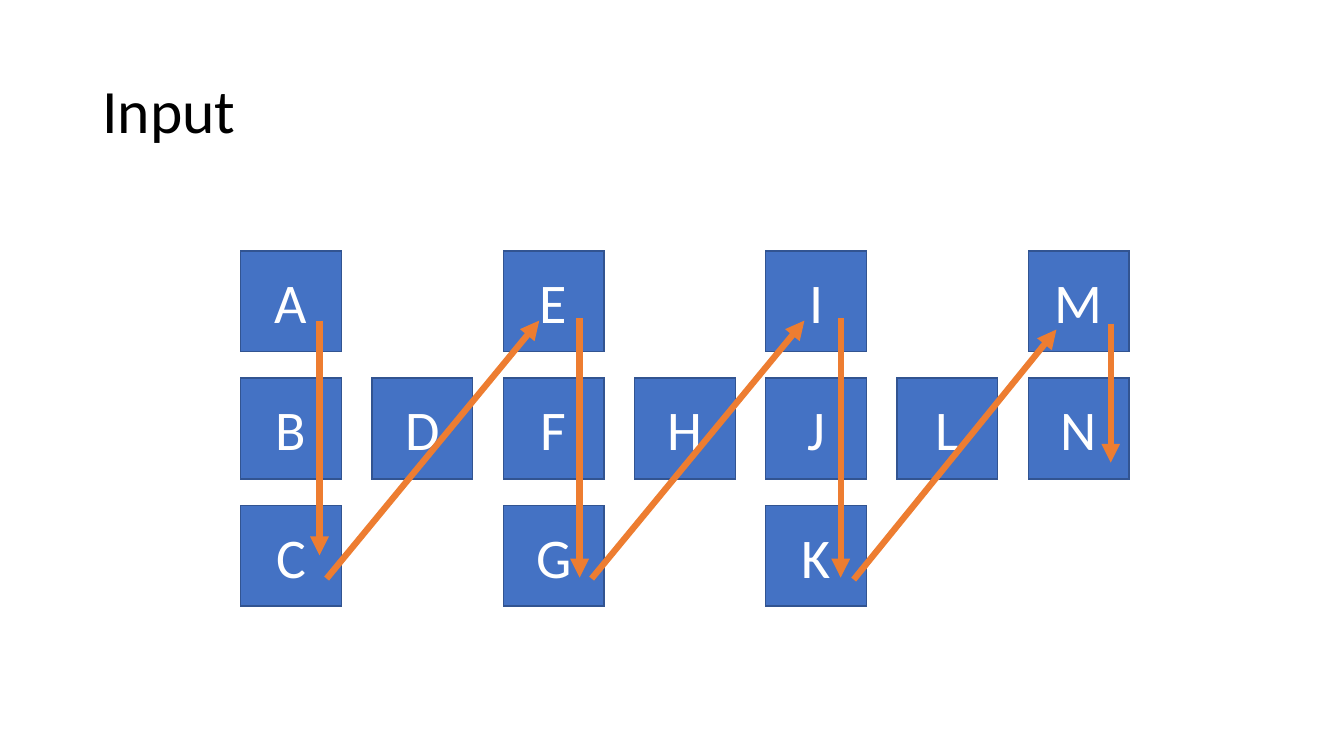
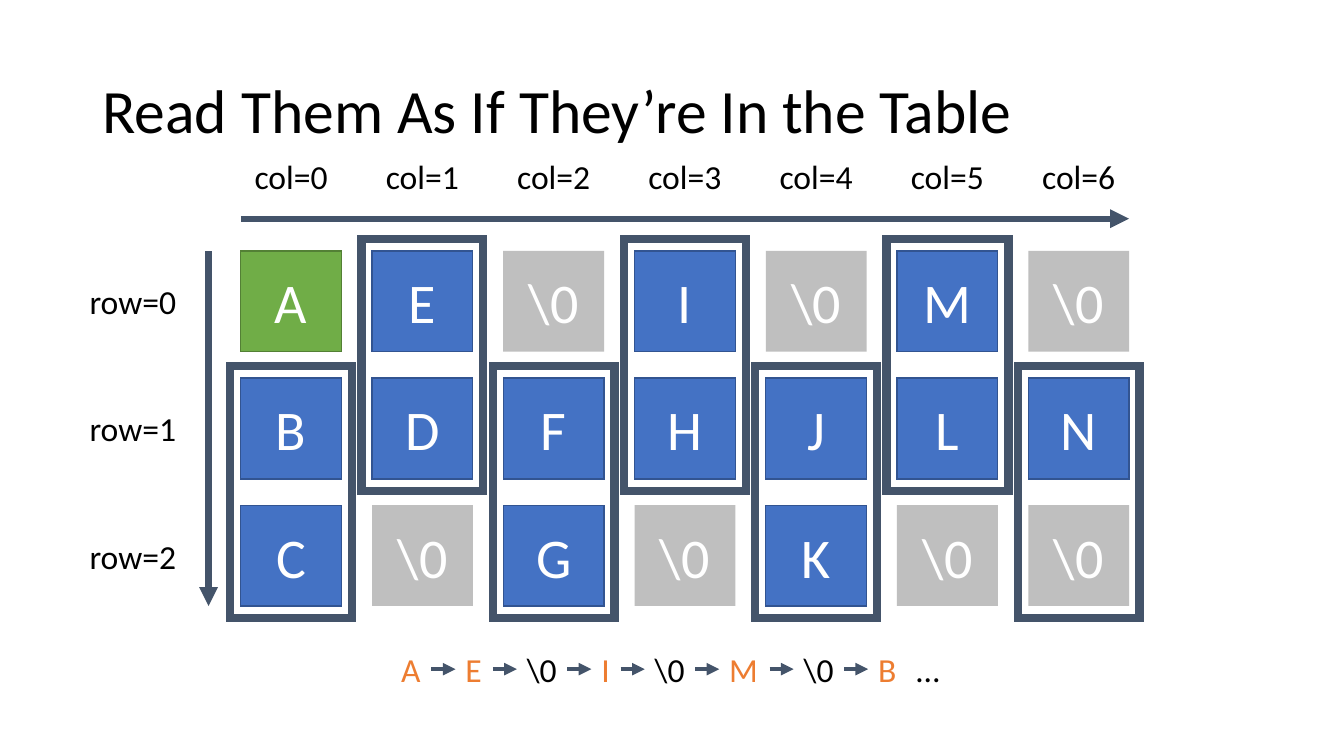
from dataclasses import dataclass

from lxml.etree import SubElement
from pptx import Presentation
from pptx.dml.color import RGBColor as Rgb
from pptx.enum.shapes import MSO_CONNECTOR as Connector, MSO_SHAPE as Preset
from pptx.enum.text import MSO_ANCHOR as Anchor, MSO_AUTO_SIZE as AutoSize, PP_ALIGN as Align
from pptx.oxml.ns import qn
from pptx.util import Pt


@dataclass(frozen=True)
class Theme:
    """Colours, typeface, type sizes and line weights shared by the slides."""
    ink: str = "000000"
    white: str = "FFFFFF"
    blue: str = "4472C4"
    blue_edge: str = "325491"
    green: str = "70AD47"
    green_edge: str = "538035"
    gray: str = "BFBFBF"
    slate: str = "44546A"
    orange: str = "ED7D31"
    face: str = "Calibri"
    title_size: int = 44
    tile_size: int = 40
    label_size: int = 24
    thin: float = 1
    medium: float = 3
    thick: float = 4.5
    heavy: float = 6


THEME = Theme()

# Grid, in points
TILE = 72
GRID_LEFT, GRID_TOP = 172, 179.3
COLUMN_PITCH, ROW_PITCH = 93.75, 90.8
FRAME_MARGIN_X, FRAME_MARGIN_Y = 7.5, 8.5
LABEL_HEIGHT = 36
ROW_LABEL_LEFT, ROW_LABEL_WIDTH = 56.9, 77
COLUMN_LABEL_TOP, COLUMN_LABEL_WIDTH = 108, 67
ROW_AXIS_X, COLUMN_AXIS_Y = 149, 156.2

# Letters; a space leaves its grid cell empty
NULL = "\\0"
ZIGZAG = ["A E I M",
          "BDFHJLN",
          "C G K  "]
TABLE = [["A", "E", NULL, "I", NULL, "M", NULL],
         ["B", "D", "F", "H", "J", "L", "N"],
         ["C", NULL, "G", NULL, "K", NULL, NULL]]
ROW_COUNT, COLUMN_COUNT = len(TABLE), len(TABLE[0])

# Start and end of each stroke, in the order the letters are visited
ZIGZAG_STROKES = [
    ((228.2, 229), (228.2, 396.7)), ((233.3, 413.3), (385.2, 229)),
    ((414, 227.5), (414, 412.6)), ((422.6, 413.3), (574.6, 229)),
    ((600.5, 227.5), (600.5, 412.6)), ((609.8, 414), (754.6, 235.4)),
    ((793.4, 231.1), (793.4, 330.5)),
]

# The first table row, then the start of the second
READ_ORDER = TABLE[0] + TABLE[1][:1]
SYMBOL_WIDTHS = {"A": 28.8, "E": 26.6, NULL: 36, "I": 20.9, "M": 36, "B": 27.4}
READ_LEFT, READ_TOP, READ_GAP = 279.4, 460, 17.2
ELLIPSIS_WIDTH = 31.7


def set_format(target, values):
    """Set each named attribute of the target."""
    for name, value in values.items():
        setattr(target, name, value)


def write(frame, words, size, color, align, frame_format):
    """Put one formatted paragraph into a text frame and return it."""
    set_format(frame, frame_format)
    paragraph = frame.paragraphs[0]
    paragraph.alignment = align
    run = paragraph.add_run()
    run.text = words
    set_format(run.font, {"name": THEME.face, "size": Pt(size), "bold": False})
    run.font.color.rgb = Rgb.from_string(color)
    return paragraph


def add_titled_slide(deck, words):
    """Add a title-only slide with the shared title style."""
    slide = deck.slides.add_slide(deck.slide_layouts[5])
    title = slide.shapes.title
    set_format(title, {"left": Pt(66), "top": Pt(28.75), "width": Pt(828), "height": Pt(104.4)})
    paragraph = write(title.text_frame, words, THEME.title_size, THEME.ink, Align.LEFT,
                      {"vertical_anchor": Anchor.MIDDLE, "word_wrap": True,
                       "auto_size": AutoSize.NONE})
    paragraph.line_spacing = 0.9
    return slide


def set_line(line, color, weight):
    """Colour and weigh a line."""
    line.color.rgb = Rgb.from_string(color)
    line.width = Pt(weight)


def add_box(slide, left, top, width, height, fill=None, edge=None, weight=THEME.thin):
    """Add a flat, sharp-cornered rectangle with an optional fill and outline."""
    box = slide.shapes.add_shape(Preset.RECTANGLE, Pt(left), Pt(top), Pt(width), Pt(height))
    box.shadow.inherit = False
    if fill:
        box.fill.solid()
        box.fill.fore_color.rgb = Rgb.from_string(fill)
    else:
        box.fill.background()
    if edge:
        set_line(box.line, edge, weight)
        SubElement(box.element.spPr.find(qn("a:ln")), qn("a:miter"), lim="800000")
    else:
        box.line.fill.background()
    return box


def add_label(slide, words, left, top, width, color=THEME.ink, align=Align.LEFT):
    """Add one line of small text."""
    label = slide.shapes.add_textbox(Pt(left), Pt(top), Pt(width), Pt(LABEL_HEIGHT))
    write(label.text_frame, words, THEME.label_size, color, align,
          {"word_wrap": False, "auto_size": AutoSize.SHAPE_TO_FIT_TEXT})


def add_arrow(slide, start, end, color, weight=THEME.thick):
    """Add a straight arrow between two points."""
    arrow = slide.shapes.add_connector(Connector.STRAIGHT, *map(Pt, (*start, *end)))
    set_line(arrow.line, color, weight)
    properties = arrow.element.spPr
    SubElement(properties.find(qn("a:ln")), qn("a:tailEnd"), type="triangle")
    SubElement(properties, qn("a:effectLst"))


def column_left(column):
    """Return the left edge of a grid column."""
    return GRID_LEFT + column * COLUMN_PITCH


def row_top(row):
    """Return the top edge of a grid row."""
    return GRID_TOP + row * ROW_PITCH


def add_tiles(slide, rows, special_colors):
    """Lay out letter tiles; special_colors maps a letter to its fill and edge."""
    for row, letters in enumerate(rows):
        for column, letter in enumerate(letters):
            if letter == " ":
                continue
            fill, edge = special_colors.get(letter, (THEME.blue, THEME.blue_edge))
            tile = add_box(slide, column_left(column), row_top(row), TILE, TILE, fill, edge)
            write(tile.text_frame, letter, THEME.tile_size, THEME.white, Align.CENTER,
                  {"vertical_anchor": Anchor.MIDDLE, "word_wrap": True})


def add_pair_frames(slide):
    """Frame two tiles per column: lower pair in even columns, upper in odd."""
    width = TILE + 2 * FRAME_MARGIN_X
    height = ROW_PITCH + TILE + 2 * FRAME_MARGIN_Y
    for column in range(COLUMN_COUNT):
        first_row = 1 - column % 2
        add_box(slide, column_left(column) - FRAME_MARGIN_X, row_top(first_row) - FRAME_MARGIN_Y,
                width, height, edge=THEME.slate, weight=THEME.heavy)


def add_axes(slide):
    """Add the row and column arrows with their index labels."""
    bottom = row_top(ROW_COUNT - 1) + TILE
    right = column_left(COLUMN_COUNT - 1) + TILE
    add_arrow(slide, (ROW_AXIS_X, GRID_TOP), (ROW_AXIS_X, bottom), THEME.slate)
    add_arrow(slide, (GRID_LEFT, COLUMN_AXIS_Y), (right, COLUMN_AXIS_Y), THEME.slate)
    for row in range(ROW_COUNT):
        add_label(slide, f"row={row}", ROW_LABEL_LEFT,
                  row_top(row) + (TILE - LABEL_HEIGHT) / 2, ROW_LABEL_WIDTH)
    for column in range(COLUMN_COUNT):
        add_label(slide, f"col={column}",
                  column_left(column) + (TILE - COLUMN_LABEL_WIDTH) / 2,
                  COLUMN_LABEL_TOP, COLUMN_LABEL_WIDTH, align=Align.CENTER)


def add_read_order(slide):
    """Add the symbols in reading order, joined by arrows, then an ellipsis."""
    left = READ_LEFT
    middle = READ_TOP + LABEL_HEIGHT / 2
    for position, symbol in enumerate(READ_ORDER):
        if position > 0:
            add_arrow(slide, (left, middle), (left + READ_GAP, middle), THEME.slate, THEME.medium)
            left += READ_GAP
        color = THEME.ink if symbol == NULL else THEME.orange
        add_label(slide, symbol, left, READ_TOP, SYMBOL_WIDTHS[symbol], color)
        left += SYMBOL_WIDTHS[symbol]
    add_label(slide, "…", left, READ_TOP, ELLIPSIS_WIDTH)


def build_input(deck):
    """Build the slide with the zigzag of letters."""
    slide = add_titled_slide(deck, "Input")
    add_tiles(slide, ZIGZAG, {})
    for start, end in ZIGZAG_STROKES:
        add_arrow(slide, start, end, THEME.orange)


def build_table(deck):
    """Build the slide that reads the letters as a table."""
    slide = add_titled_slide(deck, "Read Them As If They’re In the Table")
    add_tiles(slide, TABLE, {"A": (THEME.green, THEME.green_edge), NULL: (THEME.gray, None)})
    add_pair_frames(slide)
    add_axes(slide)
    add_read_order(slide)


def main():
    """Build and save the presentation."""
    deck = Presentation()
    set_format(deck, {"slide_width": Pt(960), "slide_height": Pt(540)})
    build_input(deck)
    build_table(deck)
    deck.save("out.pptx")


main()
